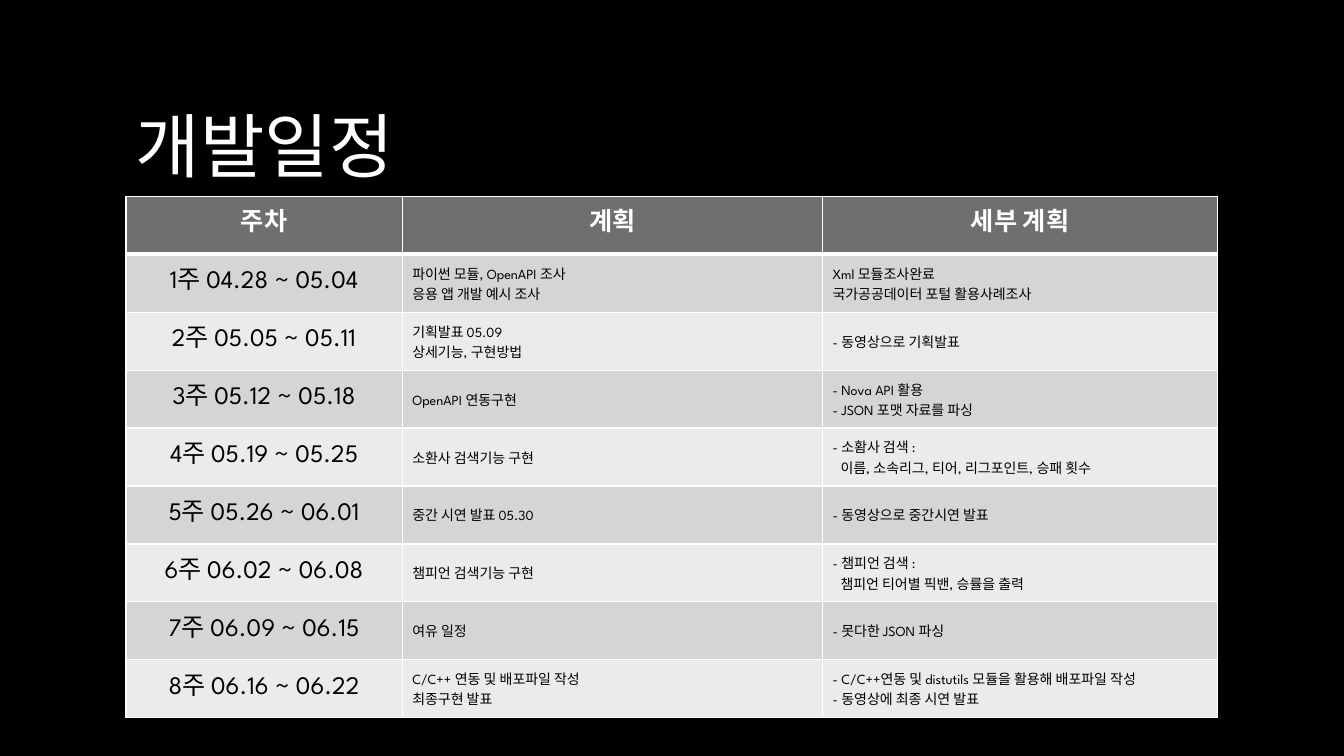
import pptx
import pptx.util
import pptx.dml.color
import pptx.enum.text
import pptx.oxml.ns
import lxml.etree

TITLE = "개발일정"
HEADINGS = ["주차", "계획", "세부 계획"]
WEEKS = [
    ("1주 04.28 ~ 05.04", ["파이썬 모듈, OpenAPI 조사", "응용 앱 개발 예시 조사"],
     ["Xml 모듈조사완료", "국가공공데이터 포털 활용사례조사"]),
    ("2주 05.05 ~ 05.11", ["기획발표 05.09", "상세기능, 구현방법"], ["- 동영상으로 기획발표"]),
    ("3주 05.12 ~ 05.18", ["OpenAPI 연동구현"], ["- Nova API 활용", "- JSON 포맷 자료를 파싱"]),
    ("4주 05.19 ~ 05.25", ["소환사 검색기능 구현"],
     ["- 소홤사 검색 :", ("이름, 소속리그, 티어, 리그포인트, 승패 횟수",)]),
    ("5주 05.26 ~ 06.01", ["중간 시연 발표 05.30"], ["- 동영상으로 중간시연 발표"]),
    ("6주 06.02 ~ 06.08", ["챔피언 검색기능 구현"],
     ["- 챔피언 검색 :", ("챔피언 티어별 픽밴, 승률을 출력",)]),
    ("7주 06.09 ~ 06.15", ["여유 일정"], ["- 못다한 JSON 파싱"]),
    ("8주 06.16 ~ 06.22", ["C/C++ 연동 및 배포파일 작성", "최종구현 발표"],
     ["- C/C++연동 및 distutils 모듈을 활용해 배포파일 작성", "- 동영상에 최종 시연 발표"]),
]
LATIN, KOREAN = "League Spartan", "Noto Sans CJK KR"
WHITE, BLACK, HEADER = "FFFFFF", "000000", "6F6F6F"
BANDS = ["D5D5D5", "EBEBEB"]
LEFT, TABLE_TOP, ROW_HEIGHT = 90, 140.2, 41.4
COLUMN_WIDTHS = [197.3, 300.2, 282.3]
CONTINUATION_INDENT = 5.7

Pt = pptx.util.Pt
ALIGN = pptx.enum.text.PP_ALIGN
ANCHOR = pptx.enum.text.MSO_ANCHOR
qn = pptx.oxml.ns.qn


def colour(value):
    return pptx.dml.color.RGBColor.from_string(value)


def add_span(para, text, size, ink, bold=False, font=LATIN):
    span = para.add_run()
    span.text = text
    span.font.size = Pt(size)
    span.font.bold = bold
    span.font.name = font
    span.font.color.rgb = colour(ink)
    east_asian = lxml.etree.SubElement(span.font._element, qn("a:ea"))
    east_asian.set("typeface", KOREAN)


def write_lines(cell, lines, size, ink, bold, align):
    frame = cell.text_frame
    for index, line in enumerate(lines):
        para = frame.add_paragraph() if index else frame.paragraphs[0]
        para.alignment = align
        if isinstance(line, tuple):
            line = line[0]
            properties = para._p.get_or_add_pPr()
            properties.set("marL", str(int(Pt(CONTINUATION_INDENT))))
            properties.set("indent", "0")
        add_span(para, line, size, ink, bold)


def paint_cell(cell, fill, top, bottom):
    properties = cell._tc.get_or_add_tcPr()
    for side, width in (("L", 1), ("R", 1), ("T", top), ("B", bottom)):
        line = lxml.etree.SubElement(properties, qn("a:ln" + side), w=str(int(Pt(width))))
        solid = lxml.etree.SubElement(line, qn("a:solidFill"))
        lxml.etree.SubElement(solid, qn("a:srgbClr"), val=WHITE)
    cell.fill.solid()
    cell.fill.fore_color.rgb = colour(fill)


def add_title(page):
    box = page.shapes.add_textbox(Pt(LEFT), Pt(48.2), Pt(sum(COLUMN_WIDTHS)), Pt(109.4))
    frame = box.text_frame
    frame.word_wrap = True
    frame.vertical_anchor = ANCHOR.MIDDLE
    add_span(frame.paragraphs[0], TITLE, 50, WHITE, font=KOREAN)


def add_schedule(page):
    rows = len(WEEKS) + 1
    table = page.shapes.add_table(
        rows, len(HEADINGS), Pt(LEFT), Pt(TABLE_TOP),
        Pt(sum(COLUMN_WIDTHS)), Pt(ROW_HEIGHT * rows)).table
    table.horz_banding = False
    for column, width in zip(table.columns, COLUMN_WIDTHS):
        column.width = Pt(width)
    for row in table.rows:
        row.height = Pt(ROW_HEIGHT)
    for index, heading in enumerate(HEADINGS):
        cell = table.cell(0, index)
        write_lines(cell, [heading], 18, WHITE, True, ALIGN.CENTER)
        paint_cell(cell, HEADER, 1, 3)
    for row, (week, plan, details) in enumerate(WEEKS, 1):
        for index, lines in enumerate(([week], plan, details)):
            cell = table.cell(row, index)
            if index == 0:
                write_lines(cell, lines, 18, BLACK, False, ALIGN.CENTER)
            else:
                write_lines(cell, lines, 10, BLACK, False, ALIGN.LEFT)
                cell.vertical_anchor = ANCHOR.MIDDLE
            paint_cell(cell, BANDS[(row - 1) % 2], 3 if row == 1 else 1, 1)


def main():
    deck = pptx.Presentation()
    deck.slide_width, deck.slide_height = Pt(960), Pt(540)
    page = deck.slides.add_slide(deck.slide_layouts[6])
    page.background.fill.solid()
    page.background.fill.fore_color.rgb = colour(BLACK)
    add_title(page)
    add_schedule(page)
    deck.save("out.pptx")


if __name__ == "__main__":
    main()
